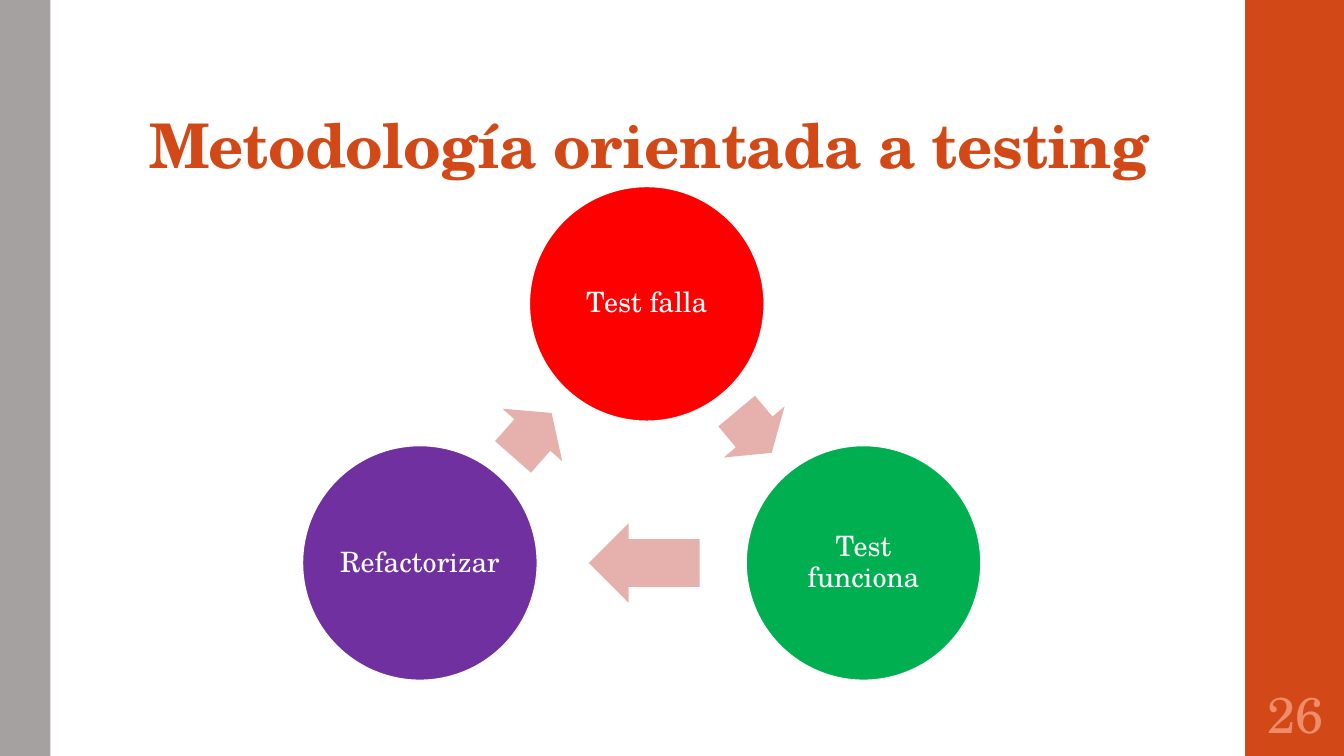
from dataclasses import dataclass

from pptx import Presentation
from pptx.dml.color import RGBColor
from pptx.enum.shapes import MSO_SHAPE as Shape
from pptx.enum.text import MSO_ANCHOR as Anchor, PP_ALIGN as Align
from pptx.util import Inches, Pt


@dataclass(frozen=True)
class Theme:
    font: str = "TeX Gyre Schola"
    accent: str = "D34817"
    gray: str = "A6A1A1"
    white: str = "FFFFFF"
    number: str = "EF8C6A"
    arrow: str = "E6B1AC"
    red: str = "FF0000"
    green: str = "00B050"
    purple: str = "7030A0"
    title_size: int = 44
    number_size: int = 36
    step_size: int = 20


theme = Theme()
presentation = Presentation()
presentation.slide_width = Inches(13.33)
presentation.slide_height = Inches(7.5)
slide = presentation.slides.add_slide(presentation.slide_layouts[6])


def add_filled(preset, left, top, width, height, color):
    shape = slide.shapes.add_shape(
        preset, Inches(left), Inches(top), Inches(width), Inches(height))
    shape.shadow.inherit = False
    shape.fill.solid()
    shape.fill.fore_color.rgb = RGBColor.from_string(color)
    shape.line.fill.background()
    return shape


def write_text(shape, text, size, color, align, anchor, insets):
    """Fill a shape with one styled paragraph and return that paragraph."""
    frame = shape.text_frame
    frame.word_wrap = True
    frame.vertical_anchor = anchor
    (frame.margin_left, frame.margin_top,
     frame.margin_right, frame.margin_bottom) = map(Inches, insets)
    frame.text = text
    paragraph = frame.paragraphs[0]
    paragraph.alignment = align
    font = paragraph.runs[0].font
    font.name = theme.font
    font.size = Pt(size)
    font.color.rgb = RGBColor.from_string(color)
    return paragraph


# Side bars
add_filled(Shape.RECTANGLE, 12.35, 0, 1, 7.5, theme.accent)
add_filled(Shape.RECTANGLE, 0, 0, 0.5, 7.5, theme.gray)

# Title and slide number
title = slide.shapes.add_textbox(Inches(1.38), Inches(0.32), Inches(10.6), Inches(1.53))
heading = write_text(title, "Metodología orientada a testing", theme.title_size,
                     theme.accent, Align.LEFT, Anchor.BOTTOM, (0.1, 0.03, 0.1, 0.05))
heading.line_spacing = 0.9
heading.runs[0].font.bold = True
heading.runs[0].font._element.set("spc", "-50")

number = slide.shapes.add_textbox(Inches(12.35), Inches(6.75), Inches(1), Inches(0.65))
write_text(number, "26", theme.number_size, theme.number,
           Align.CENTER, Anchor.MIDDLE, [0.05] * 4)

# Cycle steps
diameter = 2.33
steps = [
    ("Test falla", 5.25, 1.85, theme.red),
    ("Test funciona", 7.4, 4.42, theme.green),
    ("Refactorizar", 3, 4.42, theme.purple),
]
for label, left, top, color in steps:
    circle = add_filled(Shape.OVAL, left, top, diameter, diameter, color)
    circle.line.color.rgb = RGBColor.from_string(theme.white)
    circle.line.width = Pt(1.1)
    paragraph = write_text(circle, label, theme.step_size, theme.white,
                           Align.CENTER, Anchor.MIDDLE, [0.03] * 4)
    paragraph.line_spacing = 0.9

# Arrows between the steps: left, top, width, rotation
for left, top, width, rotation in [
    (7.21, 3.89, 0.54, 50),
    (5.84, 5.19, 1.1, 180),
    (4.99, 3.92, 0.58, 311.3),
]:
    arrow = add_filled(Shape.RIGHT_ARROW, left, top, width, 0.79, theme.arrow)
    arrow.adjustments[0] = 0.6
    arrow.adjustments[1] = 0.5
    arrow.rotation = rotation

presentation.save("out.pptx")
